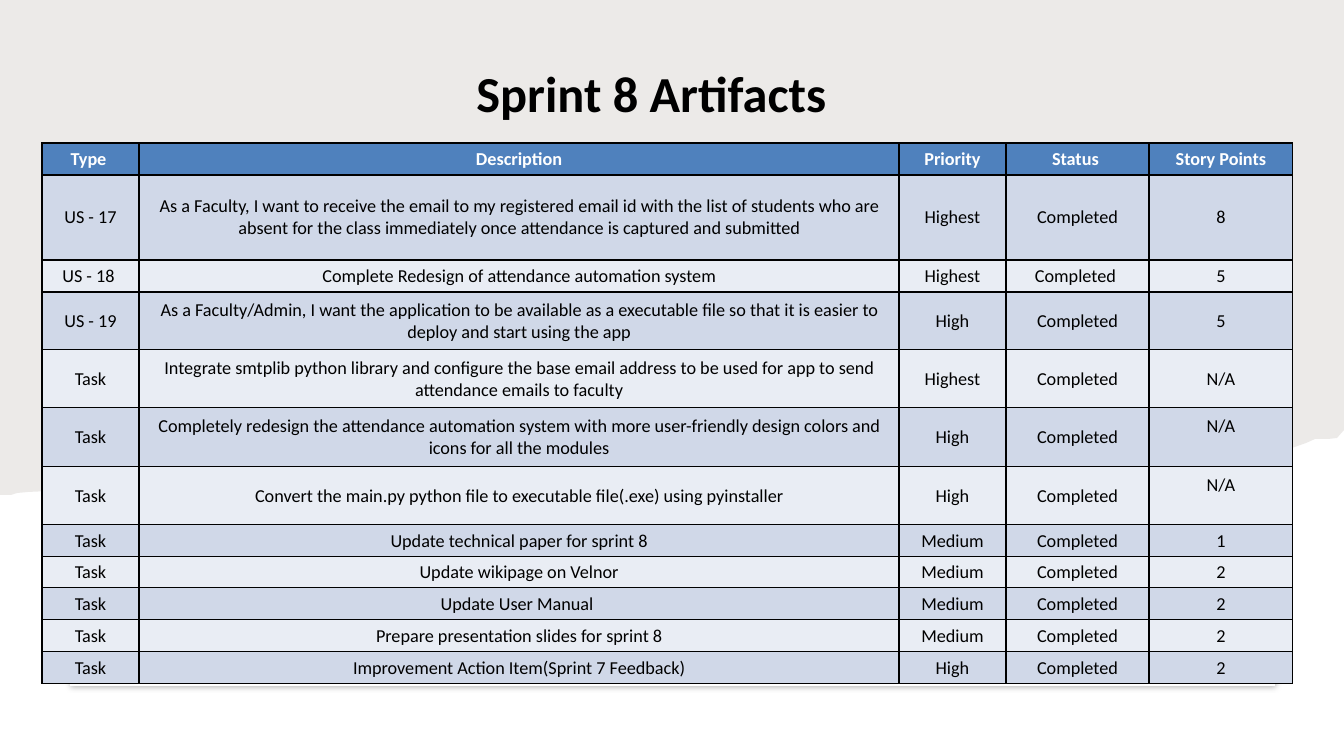
from lxml import etree
from pptx import Presentation
from pptx.dml.color import RGBColor
from pptx.enum.shapes import MSO_SHAPE
from pptx.enum.text import MSO_ANCHOR, PP_ALIGN
from pptx.oxml.ns import qn
from pptx.util import Pt

SLIDE_WIDTH, SLIDE_HEIGHT = 1344, 756
SCALE = 12192000 / SLIDE_WIDTH
RECTANGLE = MSO_SHAPE.RECTANGLE
CENTER = PP_ALIGN.CENTER
MIDDLE, BOTTOM = MSO_ANCHOR.MIDDLE, MSO_ANCHOR.BOTTOM
FONT = "Calibri"
COLORS = {
    "paper": "82766A",
    "white": "FFFFFF",
    "black": "000000",
    "header": "4F81BD",
    "odd_row": "D0D8E8",
    "even_row": "E9EDF4",
}
TORN_EDGE = [
    (1344, 430), (1337, 438), (1328, 439), (1315, 439), (1306, 443), (1289, 449),
    (1275, 454), (1268, 462), (1243, 471), (1209, 475), (1186, 486), (1158, 495),
    (1115, 498), (1072, 503), (1028, 510), (1007, 519), (947, 521), (891, 521),
    (850, 532), (812, 542), (781, 548), (734, 543), (713, 532), (661, 532),
    (632, 533), (602, 529), (566, 535), (525, 519), (483, 520), (439, 525),
    (415, 532), (374, 523), (336, 523), (290, 516), (233, 510), (187, 505),
    (162, 497), (114, 486), (86, 486), (69, 491), (49, 491), (28, 492),
    (17, 493), (11, 495), (0, 495),
]
COLUMN_WIDTHS = [97, 760, 107, 143, 144]
ROW_HEIGHTS = [32, 85, 32, 58, 58, 59, 58, 32, 31, 32, 32, 32]
RAISED_ROWS = (5, 6)
LINE_HEIGHT = 22
ARTIFACTS = [
    ("Type ", "Description", "Priority", "Status ", "Story Points"),
    ("US - 17", "As a Faculty, I want to receive the email to my registered email id "
     "with the list of students who are absent for the class immediately once "
     "attendance is captured and submitted", "Highest", "Completed", "8"),
    ("US - 18 ", "Complete Redesign of attendance automation system",
     "Highest", "Completed ", "5"),
    ("US - 19", "As a Faculty/Admin, I want the application to be available as a "
     "executable file so that it is easier to deploy and start using the app",
     "High", "Completed", "5"),
    ("Task", "Integrate smtplib python library and configure the base email address "
     "to be used for app to send attendance emails to faculty",
     "Highest", "Completed", "N/A"),
    ("Task", "Completely redesign the attendance automation system with more "
     "user-friendly design colors and icons for all the modules",
     "High", "Completed", "N/A"),
    ("Task", "Convert the main.py python file to executable file(.exe) using pyinstaller",
     "High", "Completed", "N/A"),
    ("Task", "Update technical paper for sprint 8", "Medium", "Completed", "1"),
    ("Task", "Update wikipage on Velnor", "Medium", "Completed", "2"),
    ("Task", "Update User Manual ", "Medium", "Completed", "2"),
    ("Task", "Prepare presentation slides for sprint 8", "Medium", "Completed", "2"),
    ("Task", "Improvement Action Item(Sprint 7 Feedback)", "High", "Completed", "2"),
]


def px(length):
    """Turn a length in px into EMU."""
    return round(length * SCALE)


def color(name):
    """Look up a named colour."""
    return RGBColor.from_string(COLORS[name])


def add_element(parent, tag, **attributes):
    """Append a DrawingML element with the given attributes."""
    element = etree.SubElement(parent, qn(tag))
    for name, value in attributes.items():
        element.set(name, str(value))
    return element


def format_text(text_frame, size, color_name, bold):
    """Centre the single paragraph of a text frame and style its run."""
    paragraph = text_frame.paragraphs[0]
    paragraph.alignment = CENTER
    font = paragraph.runs[0].font
    font.name, font.size, font.bold = FONT, Pt(size), bold
    font.color.rgb = color(color_name)


def style_shape(shape, color_name):
    """Give a shape a plain fill without outline or shadow."""
    shape.shadow.inherit = False
    shape.fill.solid()
    shape.fill.fore_color.rgb = color(color_name)
    shape.line.fill.background()


def add_torn_paper(slide):
    """Draw the translucent paper with its torn lower edge."""
    builder = slide.shapes.build_freeform(0, 0, scale=SCALE)
    builder.add_line_segments([(SLIDE_WIDTH, 0)] + TORN_EDGE, close=True)
    shape = builder.convert_to_shape()
    style_shape(shape, "paper")
    fill_color = shape._element.spPr.find(qn("a:solidFill"))[0]
    add_element(fill_color, "a:alpha", val=15000)


def add_panel(slide, left, top, width, height):
    """Draw the white panel with a soft shadow."""
    shape = slide.shapes.add_shape(RECTANGLE, px(left), px(top), px(width), px(height))
    style_shape(shape, "white")
    effects = shape._element.spPr.find(qn("a:effectLst"))
    shadow = add_element(effects, "a:outerShdw", blurRad=Pt(4), dist=Pt(1),
                         dir=50 * 60000, rotWithShape=0)
    shadow_color = add_element(shadow, "a:srgbClr", val=COLORS["black"])
    add_element(shadow_color, "a:alpha", val=27000)


def add_title(slide, text, left, top, width, height):
    """Add the bold slide title."""
    box = slide.shapes.add_textbox(px(left), px(top), px(width), px(height))
    text_frame = box.text_frame
    text_frame.word_wrap = True
    text_frame.vertical_anchor = BOTTOM
    text_frame.text = text
    text_frame.paragraphs[0].line_spacing = 0.9
    format_text(text_frame, 36, "black", True)


def add_borders(cell):
    """Draw a thin black line on each side of a cell."""
    properties = cell._tc.get_or_add_tcPr()
    for side in ("a:lnL", "a:lnR", "a:lnT", "a:lnB"):
        line = add_element(properties, side, w=Pt(1))
        fill = add_element(line, "a:solidFill")
        add_element(fill, "a:srgbClr", val=COLORS["black"])


def fill_cell(cell, text, fill_name, text_color, bold):
    """Write and style one table cell."""
    cell.text = text
    cell.vertical_anchor = MIDDLE
    cell.margin_left = cell.margin_right = cell.margin_top = cell.margin_bottom = 0
    format_text(cell.text_frame, 13, text_color, bold)
    add_borders(cell)
    cell.fill.solid()
    cell.fill.fore_color.rgb = color(fill_name)


def add_artifact_table(slide, left, top):
    """Add the banded table of sprint artifacts."""
    frame = slide.shapes.add_table(
        len(ROW_HEIGHTS), len(COLUMN_WIDTHS), px(left), px(top),
        px(sum(COLUMN_WIDTHS)), px(sum(ROW_HEIGHTS)))
    table = frame.table
    table.horz_banding = False
    for column, width in zip(table.columns, COLUMN_WIDTHS):
        column.width = px(width)
    for row_index, (row, height) in enumerate(zip(table.rows, ROW_HEIGHTS)):
        row.height = px(height)
        is_header = row_index == 0
        band = "odd_row" if row_index % 2 else "even_row"
        for cell, text in zip(row.cells, ARTIFACTS[row_index]):
            fill_cell(cell, text, "header" if is_header else band,
                      "white" if is_header else "black", is_header)
    for row_index in RAISED_ROWS:
        table.cell(row_index, len(COLUMN_WIDTHS) - 1).margin_bottom = px(LINE_HEIGHT)


def main():
    """Build and save the slide."""
    presentation = Presentation()
    presentation.slide_width = px(SLIDE_WIDTH)
    presentation.slide_height = px(SLIDE_HEIGHT)
    slide = presentation.slides.add_slide(presentation.slide_layouts[6])
    add_torn_paper(slide)
    add_title(slide, "Sprint 8 Artifacts", 108, 49, 1087, 79)
    add_panel(slide, 70, 195, 1205, 491)
    add_artifact_table(slide, 42, 143)
    presentation.save("out.pptx")


if __name__ == "__main__":
    main()
